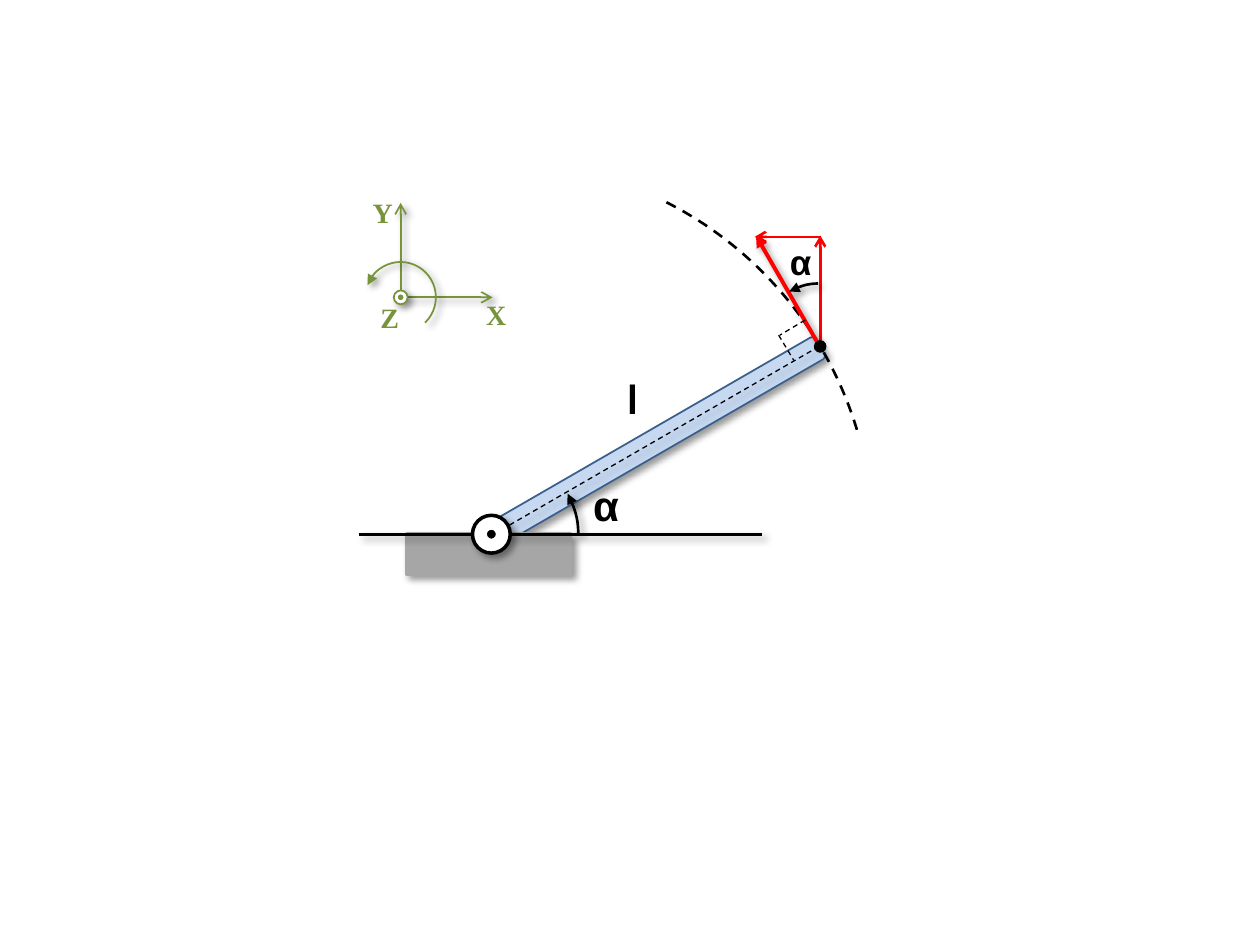
"""Builds a slide showing a hinged lever at angle alpha and the velocity at its tip."""
from dataclasses import dataclass
from typing import Optional

from lxml import etree
from pptx import Presentation
from pptx.dml.color import RGBColor
from pptx.enum.dml import MSO_LINE
from pptx.enum.shapes import MSO_CONNECTOR, MSO_SHAPE
from pptx.enum.text import MSO_AUTO_SIZE
from pptx.oxml.ns import qn
from pptx.util import Inches, Pt

ARC, OVAL = MSO_SHAPE.ARC, MSO_SHAPE.OVAL
RECTANGLE, ROUNDED = MSO_SHAPE.RECTANGLE, MSO_SHAPE.ROUNDED_RECTANGLE
STRAIGHT = MSO_CONNECTOR.STRAIGHT
DASH = MSO_LINE.DASH
FIT_TEXT = MSO_AUTO_SIZE.SHAPE_TO_FIT_TEXT
ARC_UNITS_PER_DEGREE = 0.6


@dataclass(frozen=True)
class Theme:
    """Colours, fonts and type sizes."""
    black: str = "000000"
    white: str = "FFFFFF"
    rod: str = "C6D9F1"
    rod_edge: str = "3A5F8C"
    ground: str = "A6A6A6"
    velocity: str = "FF0000"
    axes: str = "77933C"
    symbol_font: str = "Arial"
    length_font: str = "Calibri"
    axis_font: str = "Times New Roman"
    large: int = 24
    medium: int = 20
    small: int = 16


THEME = Theme()


@dataclass(frozen=True)
class Pen:
    """Outline style with optional arrowheads and shadow."""
    color: Optional[str]
    width: float = 1
    dashed: bool = False
    head: Optional[str] = None
    tail: Optional[str] = None
    shadow: bool = False


@dataclass(frozen=True)
class Label:
    """Bold text placed in a box given in inches."""
    text: str
    box: tuple
    font: str
    size: int
    color: str = THEME.black


@dataclass(frozen=True)
class Segment:
    """Straight line between two points in inches."""
    start: tuple
    end: tuple
    pen: Pen


def apply_pen(part, pen: Pen) -> None:
    """Set the outline, arrowheads and shadow of a shape or connector."""
    properties = part._element.spPr
    if pen.color is None:
        part.line.fill.background()
    else:
        part.line.color.rgb = RGBColor.from_string(pen.color)
        part.line.width = Pt(pen.width)
        if pen.dashed:
            part.line.dash_style = DASH
    outline = properties.find(qn("a:ln"))
    for tag, arrow in (("a:headEnd", pen.head), ("a:tailEnd", pen.tail)):
        if arrow:
            etree.SubElement(outline, qn(tag), type=arrow)
    effects = etree.SubElement(properties, qn("a:effectLst"))
    if pen.shadow:
        cast = etree.SubElement(effects, qn("a:outerShdw"), blurRad=str(Pt(4)), dist=str(Pt(3)),
                                dir="2700000", algn="tl", rotWithShape="0")
        color = etree.SubElement(cast, qn("a:srgbClr"), val=THEME.black)
        etree.SubElement(color, qn("a:alpha"), val="40000")


def add_solid(shapes, kind, box: tuple, fill: str, pen: Pen, rotation: float = 0):
    """Draw a filled preset shape."""
    solid = shapes.add_shape(kind, *map(Inches, box))
    solid.rotation = rotation
    solid.fill.solid()
    solid.fill.fore_color.rgb = RGBColor.from_string(fill)
    apply_pen(solid, pen)
    return solid


def add_disc(shapes, center: tuple, diameter: float, fill: str, pen: Pen) -> None:
    """Draw a filled circle around its centre."""
    x, y = center
    radius = diameter / 2
    add_solid(shapes, OVAL, (x - radius, y - radius, diameter, diameter), fill, pen)


def add_arc(shapes, center: tuple, radius: float, start: float, end: float, pen: Pen) -> None:
    """Draw an open circular arc clockwise between two angles in degrees."""
    x, y = center
    arc = shapes.add_shape(ARC, *map(Inches, (x - radius, y - radius, 2 * radius, 2 * radius)))
    arc.adjustments[0] = start * ARC_UNITS_PER_DEGREE
    arc.adjustments[1] = end * ARC_UNITS_PER_DEGREE
    arc.fill.background()
    apply_pen(arc, pen)


def add_segment(shapes, segment: Segment):
    """Draw a straight connector."""
    connector = shapes.add_connector(STRAIGHT, *map(Inches, segment.start + segment.end))
    apply_pen(connector, segment.pen)
    return connector


def add_label(shapes, label: Label) -> None:
    """Draw an unwrapped text label."""
    frame = shapes.add_textbox(*map(Inches, label.box)).text_frame
    frame.word_wrap = False
    frame.auto_size = FIT_TEXT
    paragraph = frame.paragraphs[0]
    paragraph.text = label.text
    paragraph.font.name = label.font
    paragraph.font.size = Pt(label.size)
    paragraph.font.bold = True
    paragraph.font.color.rgb = RGBColor.from_string(label.color)


def add_lever(shapes) -> None:
    """Draw the rod, ground, tip path, hinge and lever angle."""
    hinge = (3.9, 4.24)
    rod = add_solid(shapes, ROUNDED, (5.11, 2, 0.2, 3), THEME.rod,
                    Pen(THEME.rod_edge, shadow=True), rotation=60)
    add_solid(shapes, RECTANGLE, (3.23, 4.24, 1.3, 0.32), THEME.ground,
              Pen(THEME.ground, 2, shadow=True))
    add_segment(shapes, Segment((2.85, 4.24), (6.05, 4.24), Pen(THEME.black, 1.5, shadow=True)))
    add_arc(shapes, (3.93, 4.28), 3, 296.95, 344.31, Pen(THEME.black, 1.5, dashed=True))
    add_label(shapes, Label("α", (4.61, 3.76, 0.41, 0.5), THEME.symbol_font, THEME.large))
    add_label(shapes, Label("l", (4.88, 2.91, 0.35, 0.5), THEME.length_font, THEME.large))

    centerline = add_segment(shapes, Segment((6.5, 2.75), (3.9, 4.25),
                                             Pen(THEME.black, 0.75, dashed=True, shadow=True)))
    centerline.begin_connect(rod, 0)
    centerline.end_connect(rod, 2)
    centerline.begin_x, centerline.begin_y = Inches(6.5), Inches(2.75)
    centerline.end_x, centerline.end_y = Inches(3.9), Inches(4.25)

    pivot = shapes.add_group_shape().shapes
    add_disc(pivot, hinge, 0.3, THEME.white, Pen(THEME.black, 2, shadow=True))
    add_disc(pivot, hinge, 0.1, THEME.black, Pen(THEME.white, 2))
    add_arc(shapes, (3.9, 4.25), 0.69, 331.26, 0,
            Pen(THEME.black, 1.5, head="triangle", shadow=True))


def add_velocity(shapes) -> None:
    """Draw the tip velocity, its components and the right-angle mark."""
    component = Pen(THEME.velocity, 1.5, tail="arrow")
    resultant = Pen(THEME.velocity, 2.25, tail="triangle", shadow=True)
    right_angle = Pen(THEME.black, 0.75, dashed=True)
    for vector in (Segment((6.52, 1.88), (5.99, 1.88), component),
                   Segment((6.51, 2.74), (6.51, 1.87), component),
                   Segment((6.5, 2.74), (6, 1.87), resultant)):
        add_segment(shapes, vector)
    add_arc(shapes, (6.51, 2.75), 0.5, 240.54, 268.18,
            Pen(THEME.black, 1.5, head="triangle", shadow=True))
    add_label(shapes, Label("α", (6.17, 1.86, 0.38, 0.44), THEME.symbol_font, THEME.medium))
    for side in (Segment((6.39, 2.54), (6.19, 2.66), right_angle),
                 Segment((6.18, 2.66), (6.3, 2.86), right_angle)):
        add_segment(shapes, side)
    add_disc(shapes, (6.51, 2.75), 0.1, THEME.black, Pen(None))


def add_axes(shapes) -> None:
    """Draw the coordinate system with its rotation direction."""
    system = shapes.add_group_shape().shapes
    axis = Pen(THEME.axes, tail="arrow", shadow=True)
    origin = (3.18, 2.36)
    for end in ((3.91, 2.36), (3.18, 1.61)):
        add_segment(system, Segment(origin, end, axis))
    add_disc(system, origin, 0.11, THEME.white, Pen(THEME.axes, shadow=True))
    add_disc(system, origin, 0.06, THEME.axes, Pen(THEME.white))
    for name, left, top in (("Y", 2.86, 1.5), ("X", 3.76, 2.31), ("Z", 2.92, 2.34)):
        add_label(system, Label(name, (left, top, 0.36, 0.37), THEME.axis_font,
                                THEME.small, THEME.axes))
    add_arc(system, origin, 0.28, 200.1, 46.18, Pen(THEME.axes, head="triangle", shadow=True))


def main() -> None:
    """Build and save the presentation."""
    presentation = Presentation()
    presentation.slide_width, presentation.slide_height = Inches(10), Inches(7.5)
    shapes = presentation.slides.add_slide(presentation.slide_layouts[6]).shapes
    add_lever(shapes)
    add_velocity(shapes)
    add_axes(shapes)
    presentation.save("out.pptx")


if __name__ == "__main__":
    main()
